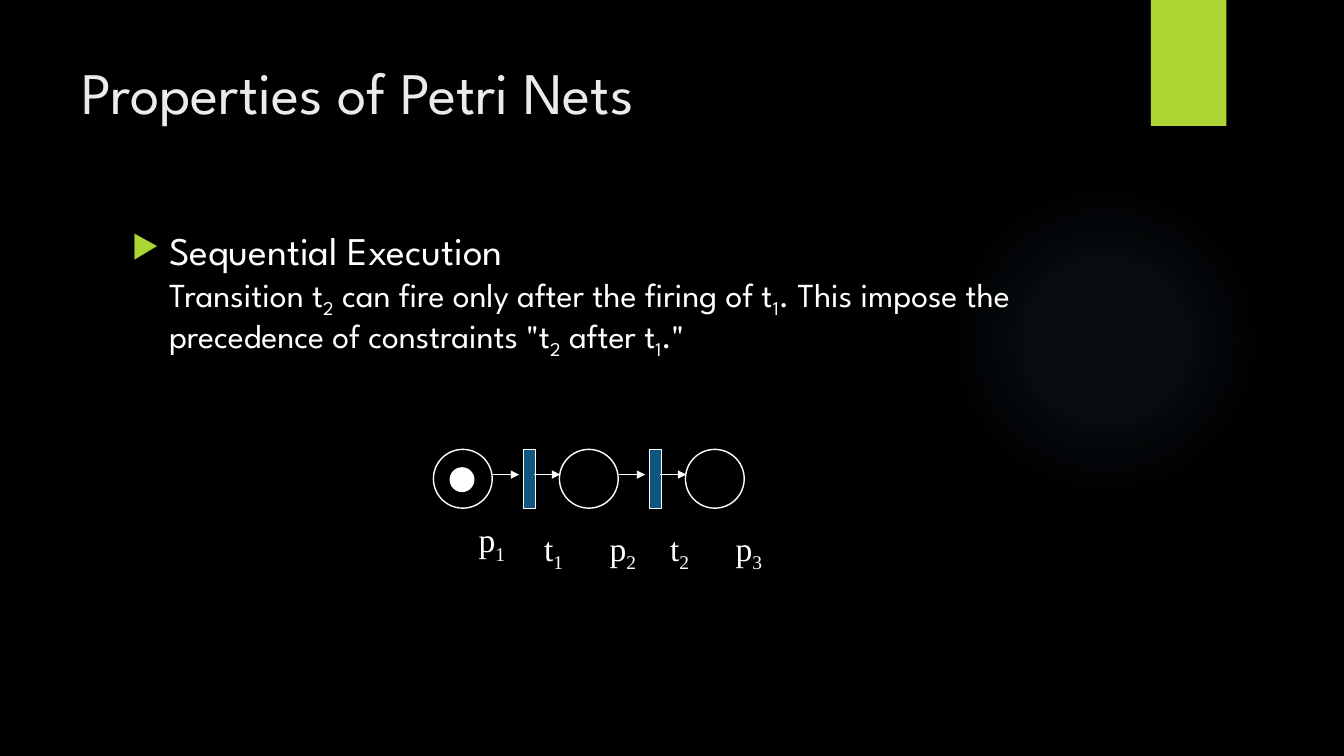
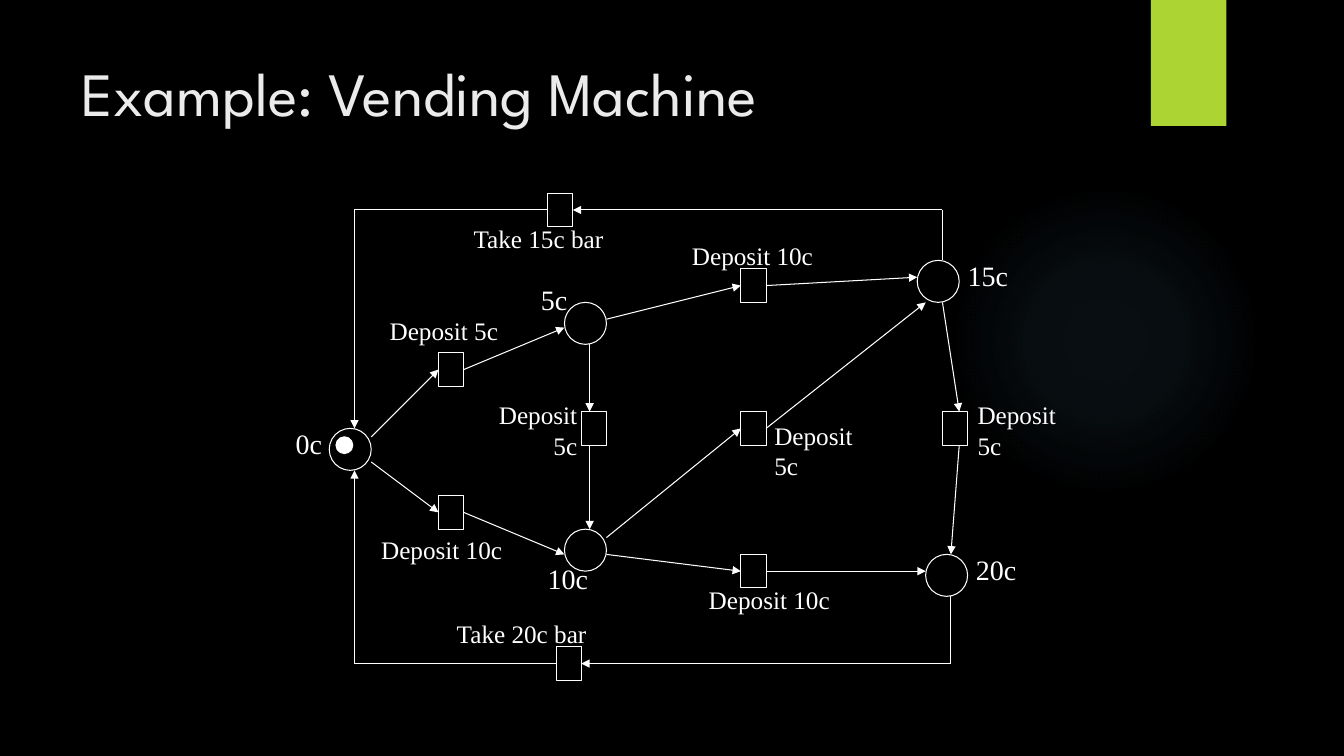
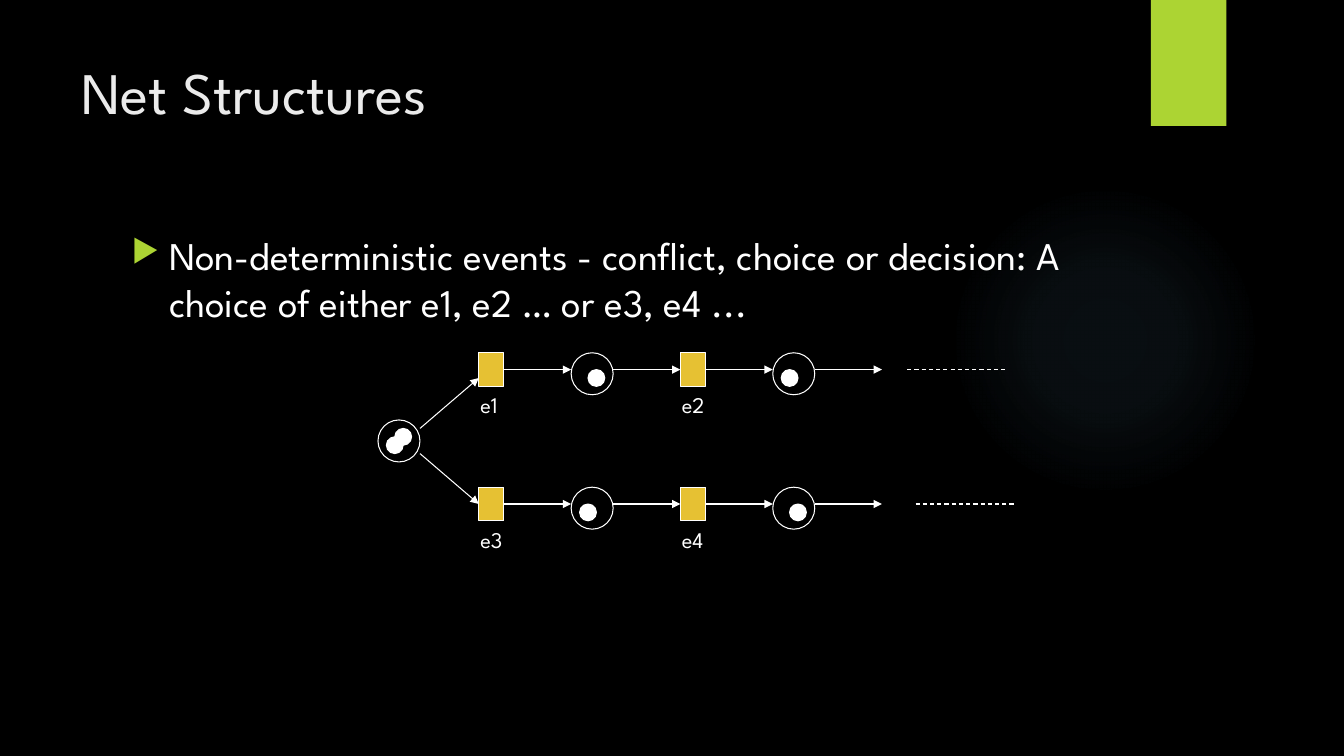
"""Build three slides on Petri nets, laid out on a grid of 160 columns by 90 rows."""
from itertools import cycle

from lxml import etree
from pptx import Presentation
from pptx import util as u
from pptx.dml.color import RGBColor
from pptx.enum import dml, shapes, text as t
from pptx.oxml import parse_xml
from pptx.oxml.ns import nsdecls, qn

BLACK = RGBColor(0x00, 0x00, 0x00)
WHITE = RGBColor(0xFF, 0xFF, 0xFF)
TITLE = RGBColor(0xEB, 0xEB, 0xEB)
LIME = RGBColor(0xAC, 0xD4, 0x33)
GLOW = RGBColor(0x7A, 0xC4, 0xF0)
BLUE = RGBColor(0x0E, 0x55, 0x80)
GOLD = RGBColor(0xE6, 0xC1, 0x33)
SANS = "League Spartan"
SERIF = "Times New Roman"
COLUMNS, ROWS = 160, 90
OVAL = shapes.MSO_SHAPE.OVAL
RECTANGLE = shapes.MSO_SHAPE.RECTANGLE

presentation = Presentation()
presentation.slide_width = u.Inches(13.333)
presentation.slide_height = u.Inches(7.5)
column = presentation.slide_width / COLUMNS
row = presentation.slide_height / ROWS
background = presentation.slide_master.background.fill
background.solid()
background.fore_color.rgb = BLACK


def write(slide, text, left, top, width, height=None, sizes=(18,), font=SERIF,
          color=WHITE, align=t.PP_ALIGN.LEFT, spacing=1.0, bullet=False):
    """Write lines of text; the character after an underscore is a subscript."""
    lines = text.split("\n")
    height = height or 1.2 + 0.2 * sizes[0] * len(lines)
    box = slide.shapes.add_textbox(
        round(left * column), round(top * row), round(width * column), round(height * row))
    box.text_frame.word_wrap = True
    paragraph = box.text_frame.paragraphs[0]
    paragraph.alignment = align
    paragraph.line_spacing = spacing
    if bullet:
        properties = paragraph._p.get_or_add_pPr()
        properties.set("marL", str(u.Inches(0.37)))
        properties.set("indent", str(-u.Inches(0.37)))
        bullet_color = etree.SubElement(properties, qn("a:buClr"))
        etree.SubElement(bullet_color, qn("a:srgbClr"), val=str(LIME))
        etree.SubElement(properties, qn("a:buSzPct"), val="80000")
        etree.SubElement(properties, qn("a:buChar"), char="▶")
    for number, (line, size) in enumerate(zip(lines, cycle(sizes))):
        if number:
            paragraph.add_line_break()
        first, *others = line.split("_")
        pieces = [(first, False)]
        for other in others:
            pieces += [(other[0], True), (other[1:], False)]
        for words, lowered in pieces:
            if not words:
                continue
            run = paragraph.add_run()
            run.text = words
            run.font.size = u.Pt(size)
            run.font.name = font
            run.font.color.rgb = color
            if lowered:
                run._r.get_or_add_rPr().set("baseline", "-25000")


def draw(slide, kind, left, top, width, height, fill=None, line=None):
    """Draw a preset shape; a missing fill or line stays empty."""
    shape = slide.shapes.add_shape(
        kind, round(left * column), round(top * row), round(width * column), round(height * row))
    shape.shadow.inherit = False
    if fill is None:
        shape.fill.background()
    else:
        shape.fill.solid()
        shape.fill.fore_color.rgb = fill
    if line is None:
        shape.line.fill.background()
    else:
        shape.line.color.rgb = WHITE
        shape.line.width = u.Pt(line)
    return shape


sequence = dict(
    title="Properties of Petri Nets", title_size=42,
    body='Sequential Execution\nTransition t_2 can fire only after the firing of t_1. '
         'This impose the precedence of constraints "t_2 after t_1."',
    body_sizes=(28, 24), body_spacing=0.9,
    shift=0, place_size=7, place_line=1, token_size=2.8,
    transition_size=(1.5, 7), transition_fill=BLUE,
    places=[(51.6 + 15 * step, 53.5) for step in range(3)],
    tokens=[(53.6, 55.7)],
    transitions=[(62.3 + 15 * step, 53.5) for step in range(2)],
    arrows=[(start + 15 * step, 56.5, start + 15 * step + 3.1, 56.5)
            for step in range(2) for start in (58.7, 63.6)],
    lines=[], dashes=[], label_font=SERIF, label_size=24,
    labels=[("p_1", 55.8, 61.2, 6)]
    + [(f"t_{step + 1}", 63.6 + 15 * step, 62.2, 6) for step in range(2)]
    + [(f"p_{step + 2}", 71.4 + 15 * step, 62.2, 6) for step in range(2)],
)

vending = dict(
    title="Example: Vending Machine", title_size=44, body=None,
    shift=0.2, place_size=5, place_line=0.75, token_size=2,
    transition_size=(3, 4), transition_fill=None,
    places=[(39, 51), (67, 36), (67, 63), (110, 66), (109, 31)],
    tokens=[(39.8, 52)],
    transitions=[(52, 59), (52, 42), (88, 32), (88, 66), (88, 49),
                 (69, 49), (112, 49), (66, 77), (65, 23)],
    arrows=[(44, 52, 52, 44), (44, 55, 52, 61), (55, 44, 67, 39), (55, 61, 67, 66),
            (72, 38, 88, 34), (91, 34, 109, 33), (70, 41, 70, 49), (70, 53, 70, 63),
            (72, 64, 88, 51), (91, 51, 110, 36), (72, 66, 88, 68), (91, 68, 110, 68),
            (112, 36, 114, 49), (114, 53, 113, 66), (113, 79, 69, 79), (42, 79, 42, 56),
            (112, 25, 68, 25), (42, 25, 42, 51)],
    lines=[(65, 25, 42, 25), (113, 71, 113, 79), (66, 79, 42, 79), (112, 31, 112, 25)],
    dashes=[], label_font=SERIF, label_size=18,
    labels=[("Take 15c bar", 55, 26, 23), ("Take 20c bar", 53, 73, 19),
            ("Deposit 5c", 45, 37, 16), ("Deposit 10c", 44, 63, 18),
            ("Deposit 10c", 81, 28, 18), ("Deposit 10c", 83, 69, 18),
            ("Deposit\n5c", 57.7, 47, 12, dict(align=t.PP_ALIGN.RIGHT)),
            ("Deposit\n5c", 90.8, 49.4, 12), ("Deposit\n5c", 115, 47, 12)]
    + [(amount, left, top, 8, dict(sizes=(20,))) for amount, left, top in (
        ("0c", 33.8, 50.2), ("5c", 63, 33), ("10c", 63.8, 66.2),
        ("15c", 113.8, 30.2), ("20c", 114.8, 65.2))],
)

branches = (42, 58)
choice = dict(
    title="Net Structures", title_size=42,
    body="Non-deterministic events - conflict, choice or decision: "
         "A choice of either e1, e2 … or e3, e4 ...",
    body_sizes=(28,), body_spacing=1.0,
    shift=0, place_size=5, place_line=0.75, token_size=2,
    transition_size=(3, 4), transition_fill=GOLD,
    places=[(45, 50)] + [(left, top) for top in branches for left in (68, 92)],
    tokens=[(46, 52), (47, 51), (70, 44), (93, 44), (69, 60), (94, 60)],
    transitions=[(left, top) for top in branches for left in (57, 81)],
    arrows=[(50, 51, 57, 45), (50, 54, 57, 60)]
    + [(start, top + 2, start + 8, top + 2) for top in branches for start in (60, 73, 84, 97)],
    lines=[], dashes=[(108, 44, 120, 44), (109, 60, 121, 60)],
    label_font=SANS, label_size=16,
    labels=[(f"e{2 * branch + step + 1}", 56 + 24 * step, top + 4, 6)
            for branch, top in enumerate(branches) for step in range(2)],
)

for net in (sequence, vending, choice):
    slide = presentation.slides.add_slide(presentation.slide_layouts[6])
    glow = draw(slide, OVAL, 113, 22, 37, 37)
    stops = "".join(
        f'<a:gs pos="{place}000"><a:srgbClr val="{GLOW}"><a:alpha val="{alpha}000"/></a:srgbClr></a:gs>'
        for place, alpha in ((0, 7), (36, 6), (69, 0)))
    no_fill = glow._element.spPr.find(qn("a:noFill"))
    no_fill.getparent().replace(no_fill, parse_xml(
        f'<a:gradFill {nsdecls("a")}><a:gsLst>{stops}</a:gsLst><a:path path="circle">'
        '<a:fillToRect l="50000" t="50000" r="50000" b="50000"/></a:path></a:gradFill>'))
    draw(slide, RECTANGLE, 137, 0, 9, 15, fill=LIME)
    write(slide, net["title"], 8.5, 6, 123.4, 18.4,
          sizes=(net["title_size"],), font=SANS, color=TITLE)
    if net["body"]:
        write(slide, net["body"], 14.5, 27, 117.4, 55, sizes=net["body_sizes"],
              font=SANS, spacing=net["body_spacing"], bullet=True)

    shift = net["shift"]
    for left, top in net["places"]:
        draw(slide, OVAL, left + shift, top, net["place_size"], net["place_size"],
             line=net["place_line"])
    for left, top in net["transitions"]:
        draw(slide, RECTANGLE, left + shift, top, *net["transition_size"],
             fill=net["transition_fill"], line=0.75)
    for left, top in net["tokens"]:
        draw(slide, OVAL, left + shift, top, net["token_size"], net["token_size"],
             fill=WHITE, line=net["place_line"])

    for style in ("arrows", "lines", "dashes"):
        for left, top, right, bottom in net[style]:
            connector = slide.shapes.add_connector(
                shapes.MSO_CONNECTOR.STRAIGHT,
                round((left + shift) * column), round(top * row),
                round((right + shift) * column), round(bottom * row))
            connector.line.color.rgb = WHITE
            connector.line.width = u.Pt(0.75)
            if style == "dashes":
                connector.line.dash_style = dml.MSO_LINE.DASH
            properties = connector._element.spPr
            if style == "arrows":
                etree.SubElement(properties.find(qn("a:ln")), qn("a:tailEnd"), type="triangle")
            etree.SubElement(properties, qn("a:effectLst"))

    for label, left, top, width, *options in net["labels"]:
        settings = dict(sizes=(net["label_size"],), font=net["label_font"])
        for option in options:
            settings.update(option)
        write(slide, label, left + shift, top, width, **settings)

presentation.save("out.pptx")
